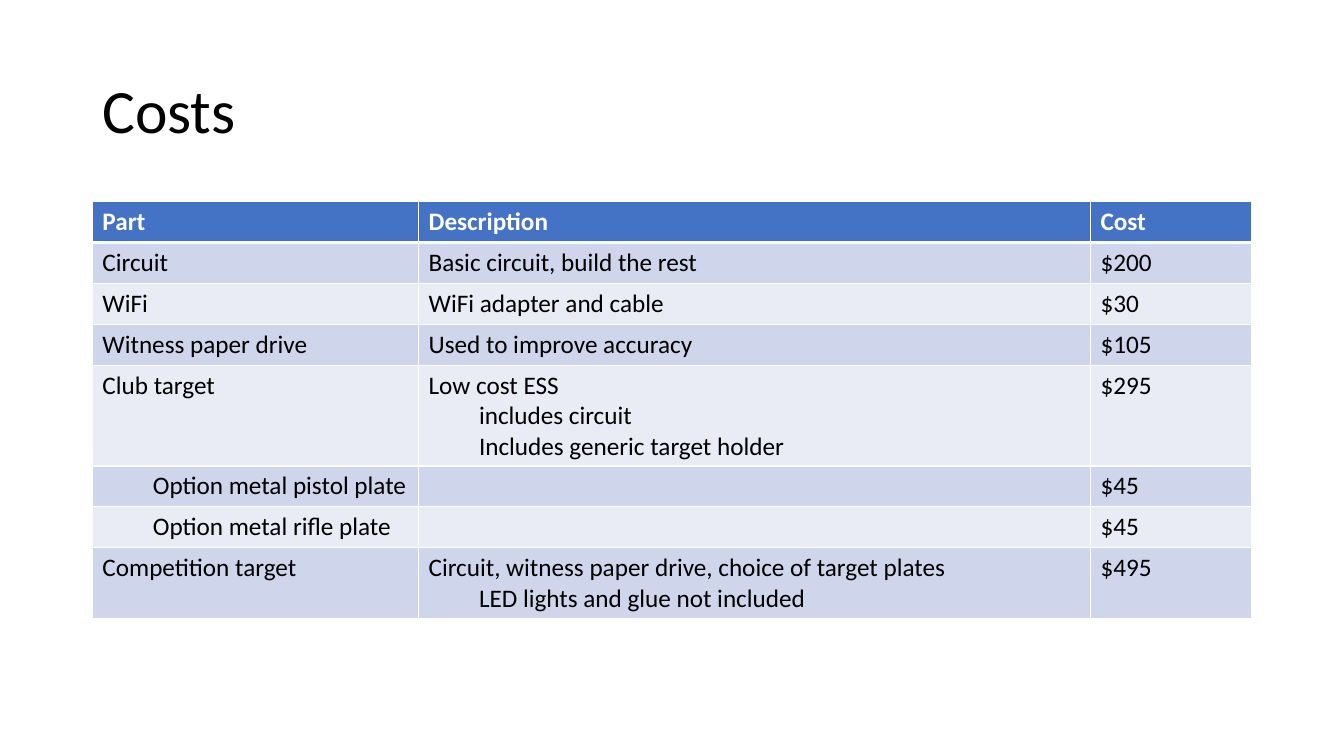
from lxml import etree
from pptx import Presentation, util as u
from pptx.dml.color import RGBColor
from pptx.enum import text
from pptx.oxml import ns

FONT = "Calibri"
BLACK = RGBColor(0x00, 0x00, 0x00)
WHITE = RGBColor(0xFF, 0xFF, 0xFF)
BLUE = RGBColor(0x44, 0x72, 0xC4)
BANDS = [RGBColor(0xE9, 0xEB, 0xF5), RGBColor(0xCF, 0xD5, 0xEA)]

LEFT, WIDTH = 66, 828
COLUMNS = [233, 480, 115]
ROW_HEIGHT = 29.2
INDENT = 36

COSTS = [
    ("Part", "Description", "Cost"),
    ("Circuit", "Basic circuit, build the rest", "$200"),
    ("WiFi", "WiFi adapter and cable", "$30"),
    ("Witness paper drive", "Used to improve accuracy", "$105"),
    ("Club target",
     "Low cost ESS \n\tincludes circuit\n\tIncludes generic target holder", "$295"),
    ("\tOption metal pistol plate", "", "$45"),
    ("\tOption metal rifle plate", "", "$45"),
    ("Competition target",
     "Circuit, witness paper drive, choice of target plates"
     "\n\tLED lights and glue not included", "$495"),
]


def set_font(p, size, color, bold=False):
    p.font.name = FONT
    p.font.size = u.Pt(size)
    p.font.bold = bold
    p.font.color.rgb = color


def add_title(s, title):
    sp = s.shapes.add_textbox(u.Pt(LEFT), u.Pt(28.8), u.Pt(WIDTH), u.Pt(104.4))
    tf = sp.text_frame
    tf.word_wrap = True
    tf.vertical_anchor = text.MSO_ANCHOR.MIDDLE
    p = tf.paragraphs[0]
    p.text = title
    p.line_spacing = 0.9
    set_font(p, 44, BLACK)


def set_borders(cell, widths):
    tcPr = cell._tc.get_or_add_tcPr()
    for side, width in widths.items():
        ln = etree.SubElement(tcPr, ns.qn(f"a:ln{side}"), w=str(u.Pt(width)))
        fill = etree.SubElement(ln, ns.qn("a:solidFill"))
        etree.SubElement(fill, ns.qn("a:srgbClr"), val=str(WHITE))


def fill_cell(cell, content, row):
    header = row == 0
    set_borders(cell, {"L": 1, "R": 1, "T": 3 if row == 1 else 1, "B": 3 if header else 1})
    cell.fill.solid()
    cell.fill.fore_color.rgb = BLUE if header else BANDS[row % 2]
    tf = cell.text_frame
    for i, line in enumerate(content.split("\n")):
        p = tf.add_paragraph() if i else tf.paragraphs[0]
        if line:
            p.text = line.lstrip("\t")
        if line.startswith("\t"):
            p.level = 1
            p._p.get_or_add_pPr().set("marL", str(u.Pt(INDENT)))
        set_font(p, 18, WHITE if header else BLACK, header)


def add_cost_table(s, rows):
    frame = s.shapes.add_table(len(rows), len(COLUMNS), u.Pt(LEFT), u.Pt(144),
                               u.Pt(WIDTH), u.Pt(ROW_HEIGHT * len(rows)))
    table = frame.table
    for column, width in zip(table.columns, COLUMNS):
        column.width = u.Pt(width)
    for r, row in enumerate(rows):
        table.rows[r].height = u.Pt(ROW_HEIGHT)
        for c, content in enumerate(row):
            fill_cell(table.cell(r, c), content, r)
    frame.height = u.Pt(297.5)


def main():
    prs = Presentation()
    prs.slide_width, prs.slide_height = u.Pt(960), u.Pt(540)
    s = prs.slides.add_slide(prs.slide_layouts[6])
    add_title(s, "Costs")
    add_cost_table(s, COSTS)
    prs.save("out.pptx")


main()
